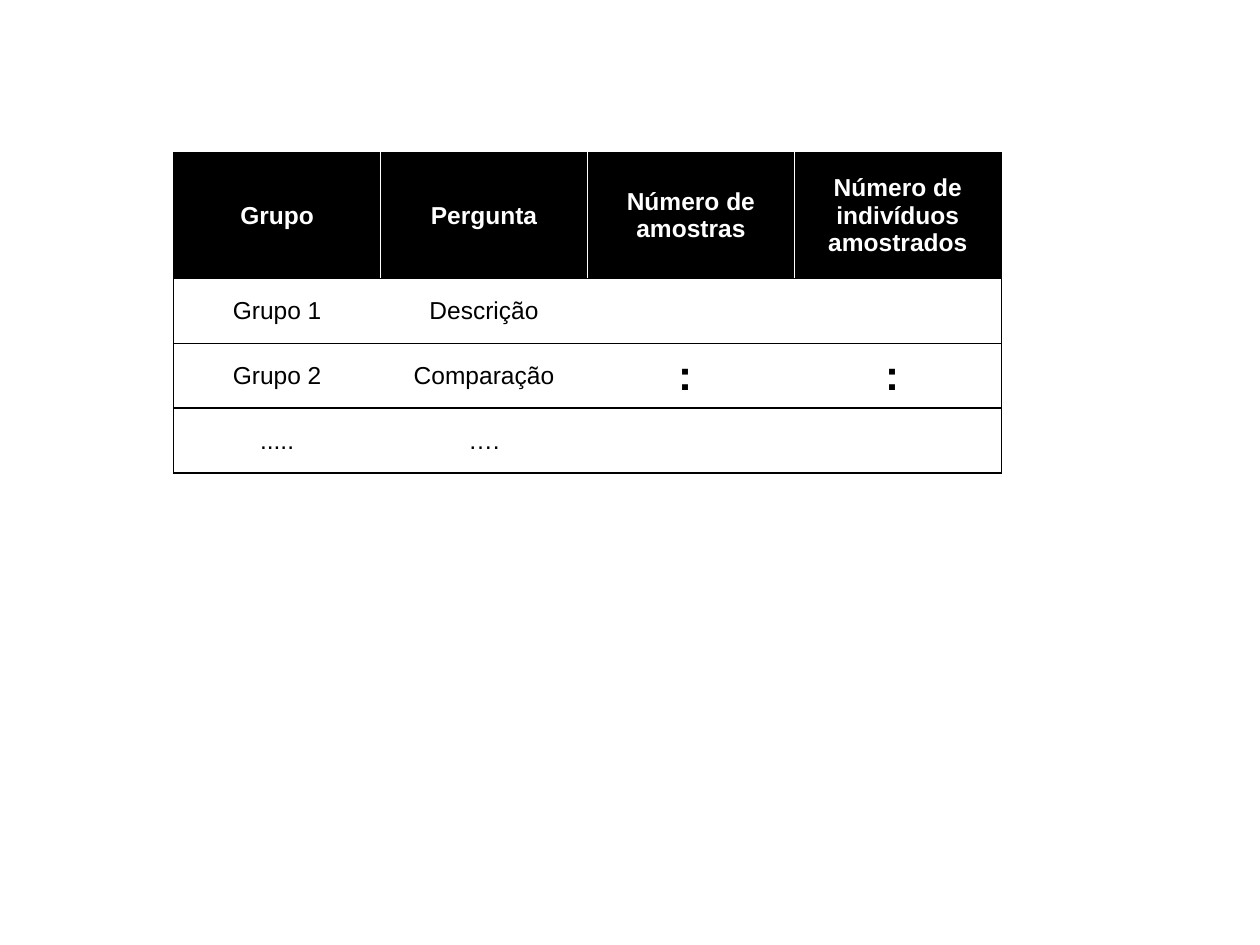
"""Build a slide with a table of groups, questions and sample counts."""
from lxml.etree import SubElement
from pptx import Presentation
from pptx.dml.color import RGBColor
from pptx.enum.text import MSO_ANCHOR, PP_ALIGN
from pptx.oxml.ns import qn
from pptx.util import Pt

ROWS = [
    ("Grupo", "Pergunta", "Número de amostras", "Número de indivíduos amostrados"),
    ("Grupo 1", "Descrição", "", ""),
    ("Grupo 2", "Comparação", ": ", ": "),
    (".....", "….", "", ""),
]
THEME = {"font": "Arial", "dark": "000000", "light": "FFFFFF",
         "body": 14, "mark": 24, "border": 1}
LEFT, TOP = 99.25, 87.25
COLUMN_WIDTH = 118.25
HEADER_HEIGHT, ROW_HEIGHT = 72, 37


def add_borders(cell, sides):
    """Draw a solid line on each named side of the cell."""
    properties = cell._tc.get_or_add_tcPr()
    for side in sides:
        line = SubElement(properties, qn(f"a:ln{side}"), w=str(Pt(THEME["border"])))
        fill = SubElement(line, qn("a:solidFill"))
        SubElement(fill, qn("a:srgbClr"), val=THEME["dark"])


def write_cell(cell, text, *, size, color, fill, bold=False):
    """Fill the cell and write its centred text."""
    cell.fill.solid()
    cell.fill.fore_color.rgb = RGBColor.from_string(fill)
    cell.vertical_anchor = MSO_ANCHOR.MIDDLE
    para = cell.text_frame.paragraphs[0]
    para.alignment = PP_ALIGN.CENTER
    if text:
        span = para.add_run()
        span.text = text
        span.font.name = THEME["font"]
        span.font.size = Pt(size)
        span.font.bold = bold
        span.font.color.rgb = RGBColor.from_string(color)


def add_sample_table(page):
    """Add the table with its outer frame and row rules."""
    heights = [HEADER_HEIGHT] + [ROW_HEIGHT] * (len(ROWS) - 1)
    last = len(ROWS[0]) - 1
    frame = page.shapes.add_table(len(ROWS), last + 1, Pt(LEFT), Pt(TOP),
                                  Pt(COLUMN_WIDTH * (last + 1)), Pt(sum(heights)))
    table = frame.table
    table.horz_banding = False
    for column in table.columns:
        column.width = Pt(COLUMN_WIDTH)
    for row, height in zip(table.rows, heights):
        row.height = Pt(height)
    for r, texts in enumerate(ROWS):
        header = r == 0
        for c, text in enumerate(texts):
            cell = table.cell(r, c)
            mark = text.startswith(":")
            add_borders(cell, "L" * (c == 0) + "R" * (c == last) + "TB")
            write_cell(cell, text, bold=header or mark,
                       size=THEME["mark" if mark else "body"],
                       color=THEME["light" if header else "dark"],
                       fill=THEME["dark" if header else "light"])


def main():
    """Create and save the deck."""
    deck = Presentation()
    deck.slide_width, deck.slide_height = Pt(720), Pt(540)
    page = deck.slides.add_slide(deck.slide_layouts[6])
    add_sample_table(page)
    deck.save("out.pptx")


if __name__ == "__main__":
    main()
